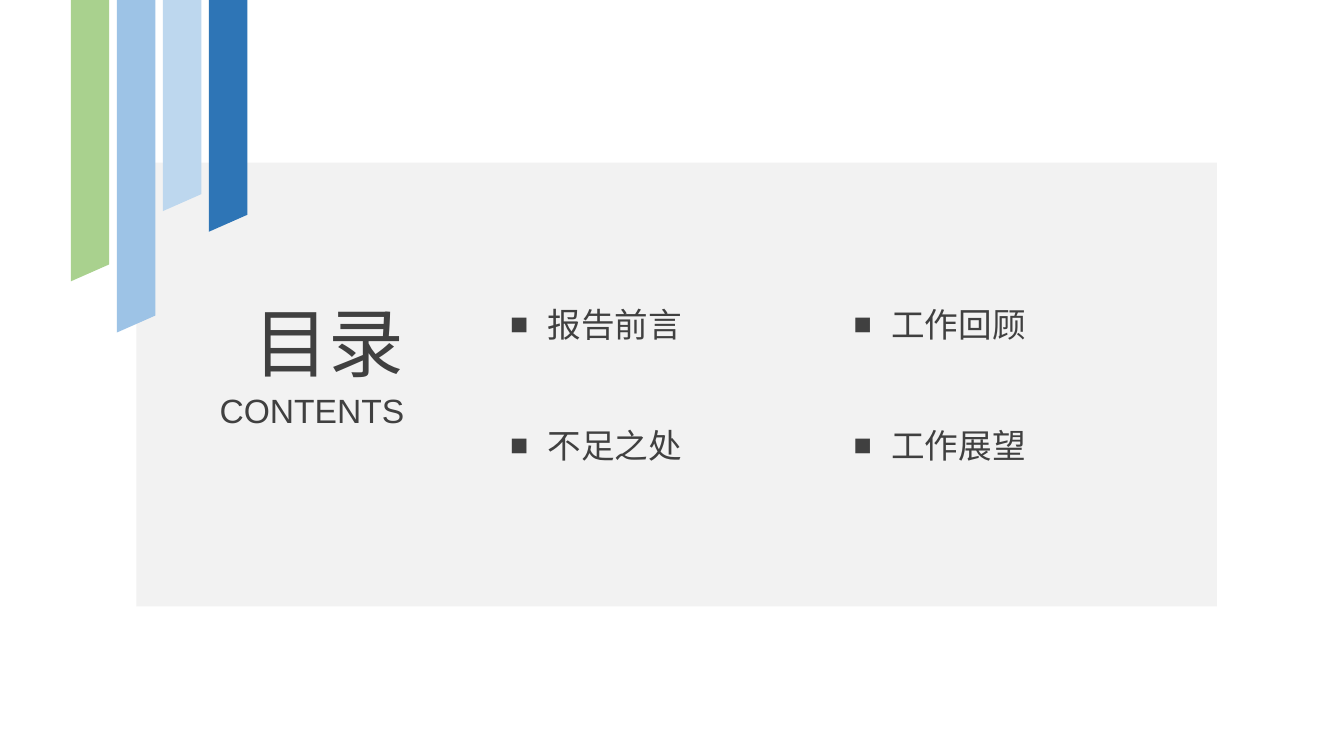
from lxml import etree
from pptx import Presentation
from pptx.dml.color import RGBColor
from pptx.enum import shapes, text
from pptx.oxml.ns import qn
from pptx.util import Cm, Pt

COLORS = {
    "panel": "F2F2F2", "text": "404040", "green": "A9D18E",
    "blue": "9DC3E6", "pale": "BDD7EE", "navy": "2E75B6",
}
CJK = "Noto Sans CJK SC"
BARS = [("green", 8.94, 7.09), ("blue", 8.94, 8.38),
        ("pale", 6.63, 5.32), ("navy", 7.32, 5.84)]
BAR_WIDTH, BAR_PITCH, BAR_CENTER = 0.97, 1.16, 2.27
LISTS = [(12.6, ["报告前言", "不足之处"]), (21.26, ["工作回顾", "工作展望"])]


def add_block(slide, kind, box, color):
    """Add a plain filled shape without line or shadow."""
    sp = slide.shapes.add_shape(kind, *map(Cm, box))
    sp.shadow.inherit = False
    sp.fill.solid()
    sp.fill.fore_color.rgb = RGBColor.from_string(COLORS[color])
    sp.line.fill.background()
    return sp


def add_bar(slide, center, length, bottom, color):
    """Add a vertical ribbon with a slanted end."""
    box = (center - length / 2, bottom - length / 2 - BAR_WIDTH / 2, length, BAR_WIDTH)
    sp = add_block(slide, shapes.MSO_SHAPE.PARALLELOGRAM, box, color)
    sp.adjustments[0] = 0.442
    sp.rotation = 90
    sp.element.spPr.find(qn("a:xfrm")).set("flipH", "1")


def set_text(sp, box, lines, size, font, align):
    """Place a text shape and format its paragraphs."""
    sp.left, sp.top, sp.width, sp.height = map(Cm, box)
    tf = sp.text_frame
    tf.text = "\n".join(lines)
    tf.word_wrap = False
    tf.auto_size = text.MSO_AUTO_SIZE.SHAPE_TO_FIT_TEXT
    tf.vertical_anchor = text.MSO_ANCHOR.TOP
    for p in tf.paragraphs:
        p.alignment = align
        p.space_before = Pt(0)
        for r in p.runs:
            r.font.size = Pt(size)
            r.font.name = font
            r.font.color.rgb = RGBColor.from_string(COLORS["text"])
            ea = etree.SubElement(r.font._element, qn("a:ea"))
            ea.set("typeface", CJK)


def add_bullets(sp):
    """Give each paragraph a square bullet and triple line spacing."""
    for p in sp.text_frame.paragraphs:
        p.line_spacing = 3.0
        pPr = p._p.get_or_add_pPr()
        pPr.set("marL", str(Cm(0.95)))
        pPr.set("indent", str(-Cm(0.95)))
        for tag, name, value in [("a:buSzPct", "val", "90000"),
                                 ("a:buFont", "typeface", "Arial"),
                                 ("a:buChar", "char", "■")]:
            etree.SubElement(pPr, qn(tag)).set(name, value)


def main():
    """Build the contents slide."""
    prs = Presentation()
    prs.slide_width, prs.slide_height = Cm(33.87), Cm(19.05)
    slide = prs.slides.add_slide(prs.slide_layouts[3])

    panel = add_block(slide, shapes.MSO_SHAPE.RECTANGLE, (3.44, 4.1, 27.23, 11.18), "panel")
    slide.shapes.element.insert(2, panel.element)
    for i, (color, length, bottom) in enumerate(BARS):
        add_bar(slide, BAR_CENTER + i * BAR_PITCH, length, bottom, color)

    title, *bodies = slide.placeholders
    right, left = text.PP_ALIGN.RIGHT, text.PP_ALIGN.LEFT
    set_text(title, (6.07, 7.34, 4.37, 2.57), ["目录"], 54, "Arial", right)
    subtitle = slide.shapes.add_textbox(0, 0, 0, 0)
    set_text(subtitle, (5.23, 9.7, 5.21, 1.27), ["CONTENTS"], 24, "Arial", right)
    for body, (x, items) in zip(bodies, LISTS):
        set_text(body, (x, 5.49, 4.9, 6.4), items, 24, CJK, left)
        add_bullets(body)

    prs.save("out.pptx")


if __name__ == "__main__":
    main()
